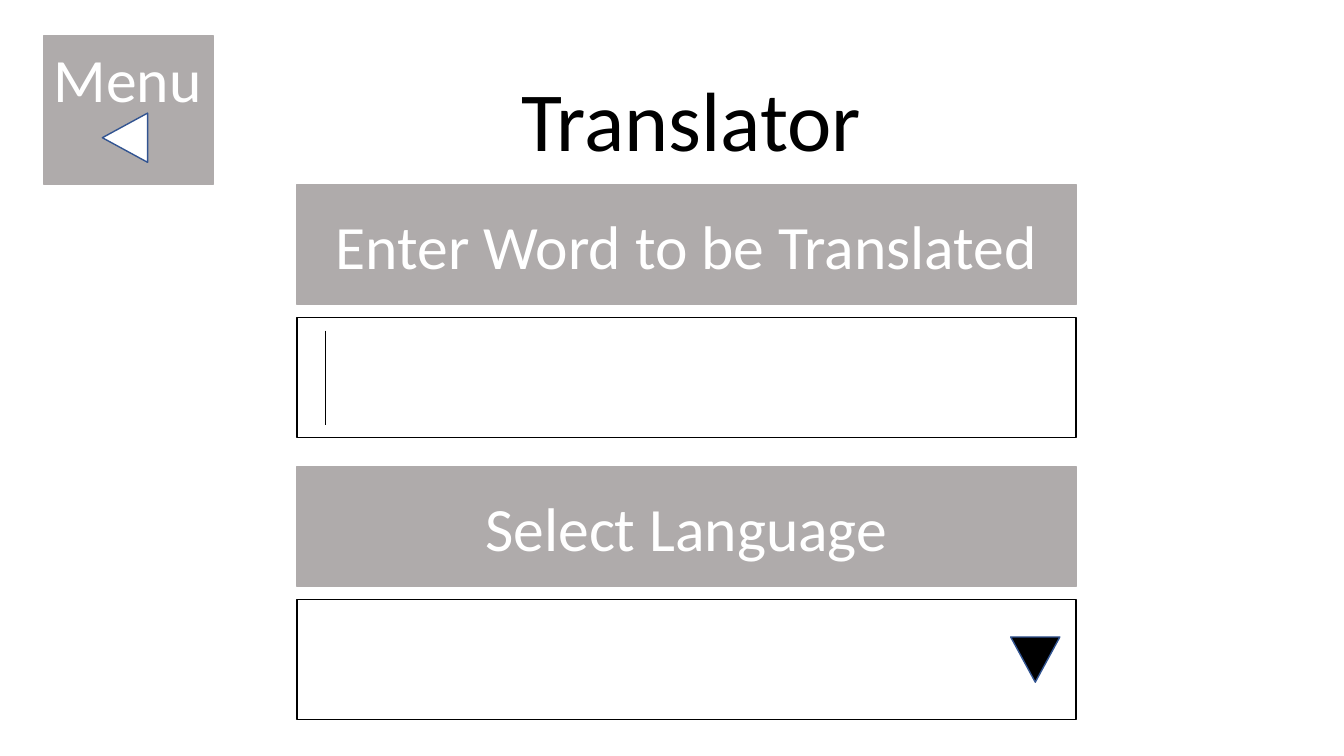
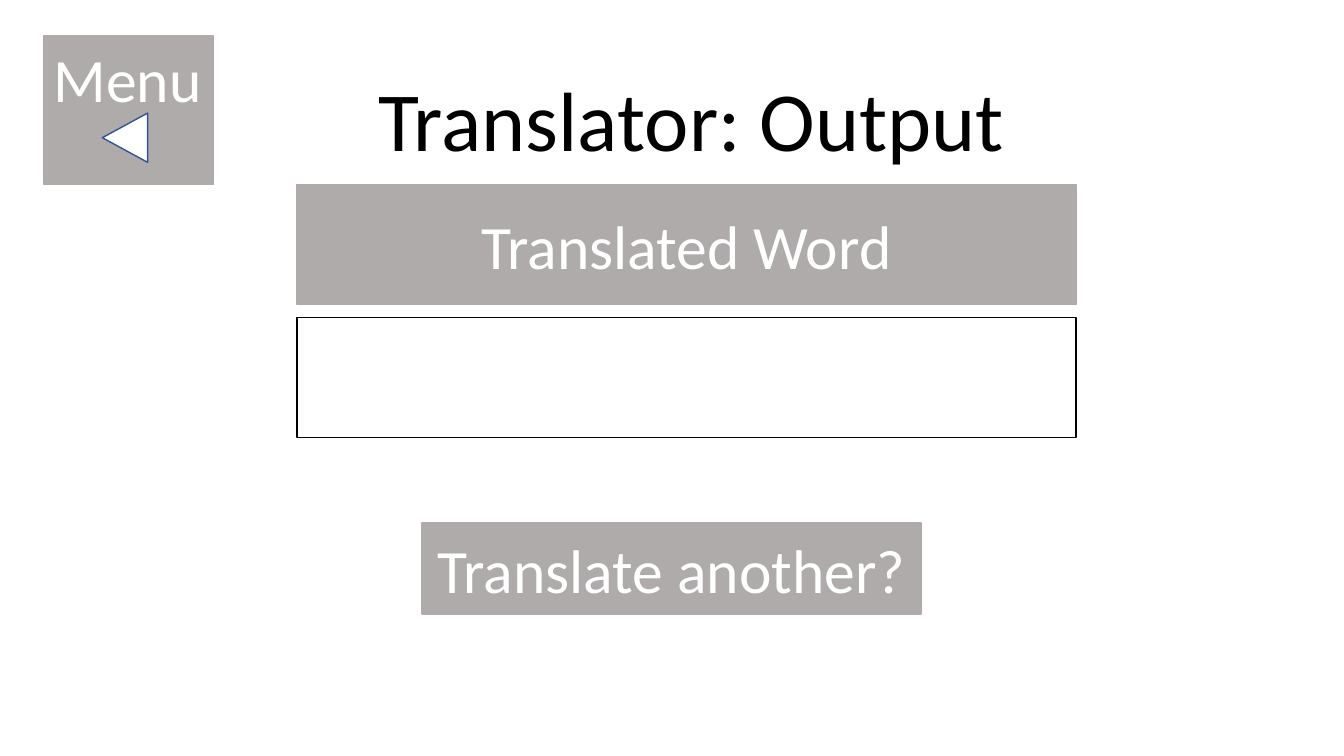
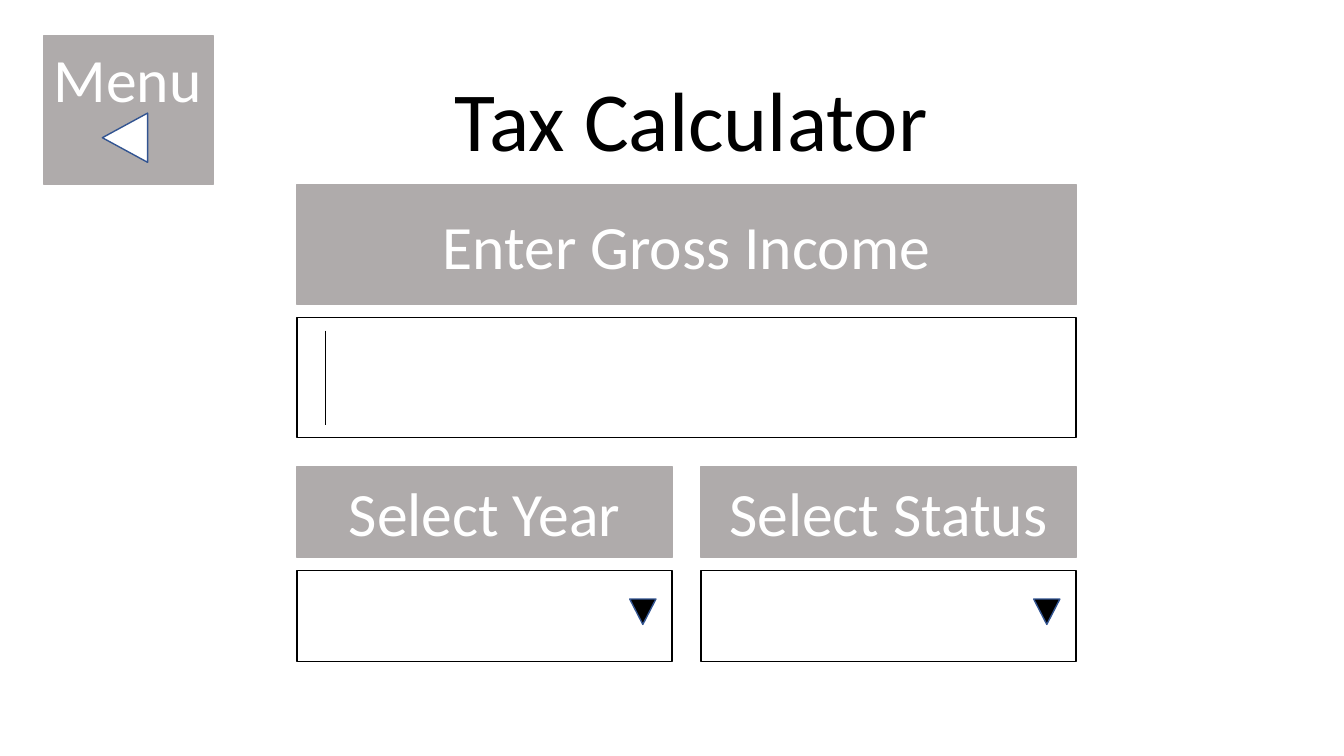
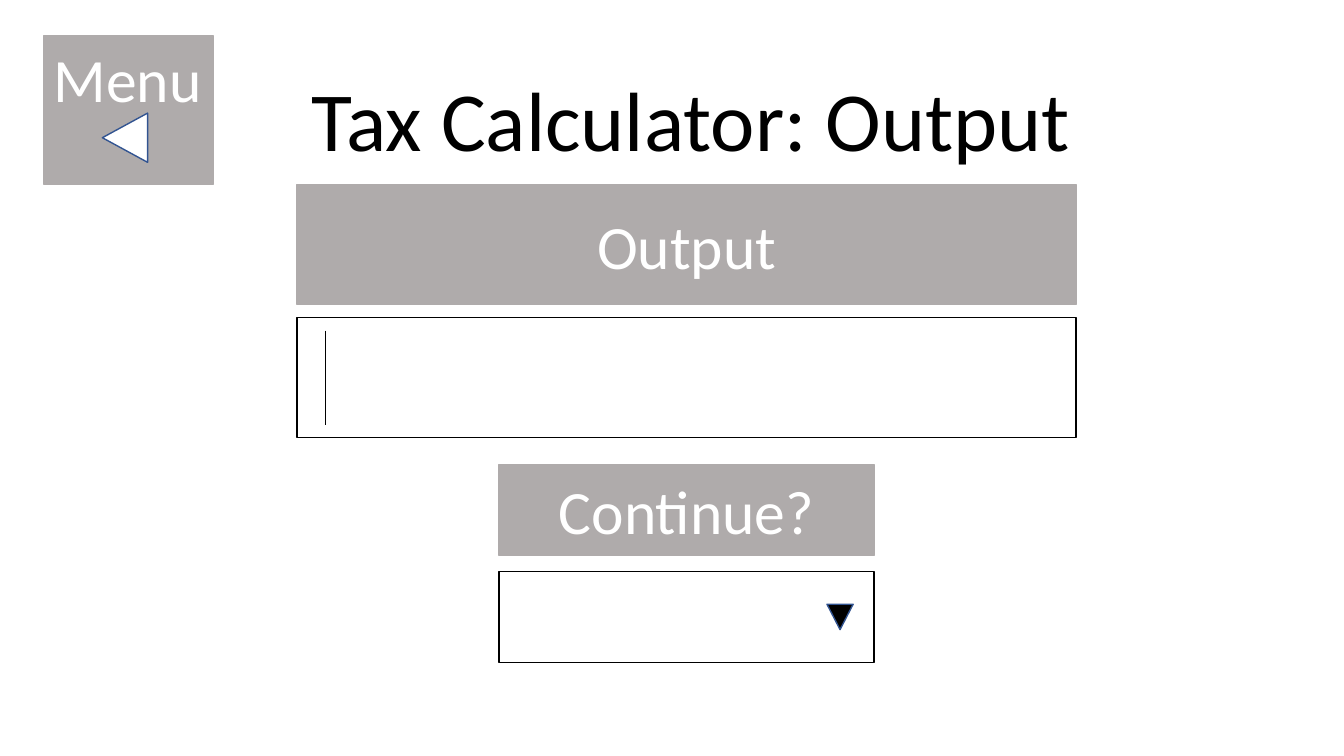
from pptx import Presentation
from pptx.dml.color import RGBColor
from pptx.enum.shapes import MSO_CONNECTOR, MSO_SHAPE
from pptx.enum.text import MSO_ANCHOR, PP_ALIGN
from pptx.oxml.ns import qn
from pptx.util import Cm, Pt
from lxml import etree

COLOURS = {
    "grey": "AFABAB",
    "black": "000000",
    "white": "FFFFFF",
    "blue": "325491",
}
FONT = "Calibri"

# Form grid, in centimetres
FORM_LEFT, FORM_WIDTH = 7.49, 19.63
LABEL_TOP, FIELD_TOP, LOWER_TOP = 4.65, 8, 11.76
TALL, SHORT = 3.02, 2.29
ROW_GAP = 0.33
HALF_WIDTH = 9.45
LARGE_ARROW, SMALL_ARROW = (1.24, 1.14), (0.66, 0.64)


def colour(name):
    return RGBColor.from_string(COLOURS[name])


def add_preset(slide, kind, left, top, width, height, fill, line):
    shape = slide.shapes.add_shape(kind, Cm(left), Cm(top), Cm(width), Cm(height))
    shape.shadow.inherit = False
    if fill:
        shape.fill.solid()
        shape.fill.fore_color.rgb = colour(fill)
    else:
        shape.fill.background()
    shape.line.color.rgb = colour(line)
    shape.line.width = Pt(1)
    return shape


def write(shape, text, size, text_colour, anchor, alignment):
    frame = shape.text_frame
    frame.word_wrap = True
    frame.vertical_anchor = anchor
    paragraph = frame.paragraphs[0]
    paragraph.text = text
    paragraph.alignment = alignment
    paragraph.font.name = FONT
    paragraph.font.size = Pt(size)
    paragraph.font.color.rgb = colour(text_colour)
    return paragraph


def add_label(slide, text, left, top, width, height,
              anchor=MSO_ANCHOR.MIDDLE, alignment=PP_ALIGN.CENTER):
    label = add_preset(slide, MSO_SHAPE.RECTANGLE, left, top, width, height, "grey", "grey")
    write(label, text, 44, "white", anchor, alignment)


def add_field(slide, left, top, width, height):
    add_preset(slide, MSO_SHAPE.RECTANGLE, left, top, width, height, None, "black")


def add_triangle(slide, left, top, size, rotation, fill):
    triangle = add_preset(slide, MSO_SHAPE.ISOSCELES_TRIANGLE, left, top, *size, fill, "blue")
    triangle.rotation = rotation


def add_cursor(slide):
    x = Cm(FORM_LEFT + 0.71)
    cursor = slide.shapes.add_connector(
        MSO_CONNECTOR.STRAIGHT, x, Cm(FIELD_TOP + 0.33), x, Cm(FIELD_TOP + 2.72))
    cursor.line.color.rgb = colour("black")
    cursor.line.width = Pt(0.5)
    etree.SubElement(cursor._element.spPr, qn("a:effectLst"))


def add_dropdown(slide, text, left, top, width, height, arrow_size,
                 gap=ROW_GAP, arrow_margin=0.41, arrow_rise=0):
    """A label above a list field whose arrow sits near the right edge."""
    field_top = top + height + gap
    arrow_width, arrow_height = arrow_size
    add_label(slide, text, left, top, width, height)
    add_field(slide, left, field_top, width, height)
    add_triangle(slide, left + width - arrow_margin - arrow_width,
                 field_top + (height - arrow_height) / 2 - arrow_rise,
                 arrow_size, 180, "black")


def add_screen(presentation, title, prompt, has_cursor=True):
    """A slide with the title, menu button and main field of every screen."""
    slide = presentation.slides.add_slide(presentation.slide_layouts[6])

    # Title
    title_box = slide.shapes.add_textbox(Cm(4.72), Cm(1), Cm(25.4), Cm(3.4))
    paragraph = write(title_box, title, 60, "black", MSO_ANCHOR.BOTTOM, PP_ALIGN.CENTER)
    paragraph.line_spacing = 0.9

    # Main label and field
    add_label(slide, prompt, FORM_LEFT, LABEL_TOP, FORM_WIDTH, TALL)
    add_field(slide, FORM_LEFT, FIELD_TOP, FORM_WIDTH, TALL)
    if has_cursor:
        add_cursor(slide)

    # Menu button
    add_label(slide, "Menu", 1.1, 0.91, 4.29, 3.73, MSO_ANCHOR.TOP, PP_ALIGN.LEFT)
    add_triangle(slide, 2.53, 2.9, LARGE_ARROW, 270, "white")
    return slide


def main():
    presentation = Presentation()
    presentation.slide_width, presentation.slide_height = Cm(33.87), Cm(19.05)

    # Translator
    slide = add_screen(presentation, "Translator", "Enter Word to be Translated")
    add_dropdown(slide, "Select Language", FORM_LEFT, LOWER_TOP, FORM_WIDTH, TALL, LARGE_ARROW)

    # Translator result
    slide = add_screen(presentation, "Translator: Output", "Translated Word", has_cursor=False)
    add_label(slide, "Translate another?", 10.64, 13.18, 12.57, SHORT)

    # Tax calculator
    slide = add_screen(presentation, "Tax Calculator", "Enter Gross Income")
    for text, left in (("Select Year", FORM_LEFT),
                       ("Select Status", FORM_LEFT + FORM_WIDTH - HALF_WIDTH)):
        add_dropdown(slide, text, left, LOWER_TOP, HALF_WIDTH, SHORT, SMALL_ARROW,
                     arrow_rise=0.11)

    # Tax calculator result
    slide = add_screen(presentation, "Tax Calculator: Output", "Output")
    add_dropdown(slide, "Continue?", FORM_LEFT + (FORM_WIDTH - HALF_WIDTH) / 2, 11.71,
                 HALF_WIDTH, SHORT, SMALL_ARROW, gap=0.4, arrow_margin=0.53)

    presentation.save("out.pptx")


main()
